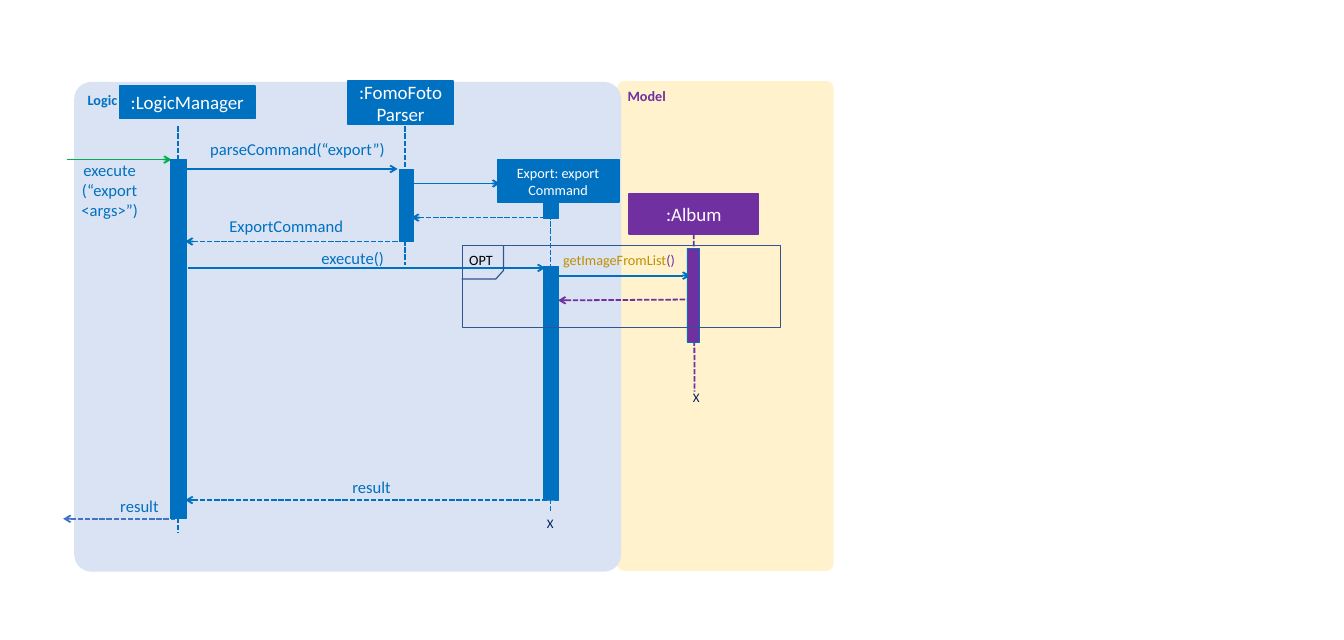
from dataclasses import dataclass

from pptx import Presentation
from pptx.dml.color import RGBColor
from pptx.enum.dml import MSO_LINE
from pptx.enum.shapes import MSO_CONNECTOR, MSO_SHAPE
from pptx.enum.text import MSO_ANCHOR, MSO_AUTO_SIZE, PP_ALIGN
from pptx.oxml.ns import qn
from pptx.shapes.autoshape import Shape
from pptx.shapes.shapetree import SlideShapes
from pptx.text.text import TextFrame
from pptx.util import Inches, Pt
from lxml.etree import SubElement


@dataclass(frozen=True)
class Theme:
    font: str = "Calibri"
    logic: str = "0070C0"
    logic_panel: str = "DAE3F3"
    model: str = "7030A0"
    model_panel: str = "FFF2CC"
    call_in: str = "00B050"
    result_out: str = "4472C4"
    method: str = "BF9000"
    frame: str = "325491"
    end_mark: str = "002060"
    white: str = "FFFFFF"
    black: str = "000000"
    participant_size: float = 16
    message_size: float = 14
    small_size: float = 12
    end_size: float = 11
    stroke: float = 1.5
    frame_stroke: float = 1
    bar_stroke: float = 0.5


THEME = Theme()
Box = tuple[float, float, float, float]
Point = tuple[float, float]


@dataclass(frozen=True)
class Panel:
    title: str
    box: Box
    fill: str
    colour: str


@dataclass(frozen=True)
class Participant:
    name: str
    box: Box
    colour: str = THEME.logic
    size: float = THEME.participant_size


@dataclass(frozen=True)
class Lifeline:
    start: Point
    end: Point
    colour: str = THEME.logic


@dataclass(frozen=True)
class Activation:
    box: Box
    colour: str = THEME.logic


@dataclass(frozen=True)
class Message:
    """A call points at its end; a reply is dashed and points at its start."""
    start: Point
    end: Point
    colour: str = THEME.logic
    reply: bool = False


@dataclass(frozen=True)
class Label:
    text: str
    box: Box
    align: PP_ALIGN = PP_ALIGN.RIGHT
    size: float = THEME.message_size
    colours: tuple[str, ...] = (THEME.logic,)
    inset: bool = False


PANELS = [
    Panel("Model", (7.23, 0.95, 2.54, 5.74), THEME.model_panel, THEME.model),
    Panel("Logic", (0.87, 0.96, 6.41, 5.74), THEME.logic_panel, THEME.logic),
]
PARTICIPANTS = [
    Participant(":LogicManager", (1.4, 1.01, 1.59, 0.38)),
    Participant(":FomoFotoParser", (4.08, 0.95, 1.23, 0.51)),
    Participant("Export: export\vCommand", (5.83, 1.87, 1.42, 0.5), size=THEME.small_size),
    Participant(":Album", (7.37, 2.27, 1.52, 0.47), THEME.model),
]
LIFELINES = [
    Lifeline((2.09, 1.48), (2.09, 6.24)),
    Lifeline((4.75, 1.48), (4.75, 3.11)),
    Lifeline((6.45, 2.26), (6.45, 5.99)),
    Lifeline((8.13, 2.74), (8.14, 4.59), THEME.model),
]
ACTIVATIONS = [
    Activation((2, 1.87, 0.18, 4.21)),
    Activation((4.68, 1.99, 0.17, 0.84)),
    Activation((6.37, 2.26, 0.17, 0.3)),
    Activation((6.37, 3.12, 0.17, 2.74)),
    Activation((8.05, 2.91, 0.14, 1.1), THEME.model),
]
MESSAGES = [
    Message((0.78, 1.87), (2.01, 1.87), THEME.call_in),
    Message((2.19, 1.98), (4.66, 1.98)),
    Message((4.85, 2.15), (5.86, 2.15)),
    Message((4.82, 2.55), (6.45, 2.55), reply=True),
    Message((2.17, 2.83), (4.74, 2.83), reply=True),
    Message((2.2, 3.14), (6.39, 3.14)),
    Message((6.52, 3.23), (8.09, 3.23)),
    Message((6.54, 3.52), (8.11, 3.51), THEME.model, reply=True),
    Message((2.17, 5.86), (6.36, 5.86), reply=True),
    Message((0.74, 6.08), (2.05, 6.08), THEME.result_out, reply=True),
]
END_MARK = dict(align=PP_ALIGN.LEFT, size=THEME.end_size, colours=(THEME.end_mark,), inset=True)
LABELS = [
    Label("execute\n(“export <args>”)", (0.64, 1.87, 1.29, 0.71), PP_ALIGN.CENTER),
    Label("parseCommand(“export”)", (2.24, 1.63, 2.27, 0.24)),
    Label("ExportCommand", (2.61, 2.53, 1.49, 0.24), PP_ALIGN.CENTER),
    Label("execute()", (3.56, 2.91, 0.94, 0.24)),
    Label("getImageFromList|()", (6.35, 2.94, 1.56, 0.2), size=THEME.small_size,
          colours=(THEME.method, THEME.model)),
    Label("result", (3.9, 5.59, 0.68, 0.24)),
    Label("result", (1.03, 5.81, 0.83, 0.24)),
    Label("X", (6.31, 5.99, 0.28, 0.29), **END_MARK),
    Label("X", (8.02, 4.52, 0.28, 0.29), **END_MARK),
    Label("OPT", (5.4, 2.9, 0.84, 0.3), PP_ALIGN.LEFT, THEME.small_size, (THEME.black,), True),
]
OPT_FRAME: Box = (5.42, 2.88, 3.73, 0.96)
OPT_TAB: list[Point] = [(5.41, 3.27), (5.81, 3.27), (5.9, 3.17), (5.9, 2.88)]


def rgb(colour: str) -> RGBColor:
    return RGBColor.from_string(colour)


def format_text(frame: TextFrame, size: float, colours: tuple[str, ...],
                align: PP_ALIGN, bold: bool = False) -> None:
    """Format every run, giving each run of a paragraph its own colour in turn."""
    for paragraph in frame.paragraphs:
        paragraph.alignment = align
        for index, run in enumerate(paragraph.runs):
            run.font.name, run.font.size, run.font.bold = THEME.font, Pt(size), bold
            run.font.color.rgb = rgb(colours[index % len(colours)])


def style_shape(shape: Shape, fill: str | None, line: str | None, width: float = 0) -> None:
    shape.shadow.inherit = False
    if fill:
        shape.fill.solid()
        shape.fill.fore_color.rgb = rgb(fill)
    else:
        shape.fill.background()
    if line:
        shape.line.color.rgb = rgb(line)
        shape.line.width = Pt(width)
    else:
        shape.line.fill.background()


def add_box(shapes: SlideShapes, box: Box, fill: str | None, line: str | None, width: float = 0,
            kind: MSO_SHAPE = MSO_SHAPE.RECTANGLE) -> Shape:
    shape = shapes.add_shape(kind, *map(Inches, box))
    style_shape(shape, fill, line, width)
    return shape


def draw_panel(shapes: SlideShapes, panel: Panel) -> None:
    shape = add_box(shapes, panel.box, panel.fill, None, kind=MSO_SHAPE.ROUNDED_RECTANGLE)
    shape.adjustments[0] = 0.035
    shape.text_frame.text = panel.title
    shape.text_frame.vertical_anchor = MSO_ANCHOR.TOP
    format_text(shape.text_frame, THEME.small_size, (panel.colour,), PP_ALIGN.LEFT, bold=True)


def draw_participant(shapes: SlideShapes, participant: Participant) -> None:
    shape = add_box(shapes, participant.box, participant.colour, participant.colour, THEME.stroke)
    shape.text_frame.text = participant.name
    shape.text_frame.vertical_anchor = MSO_ANCHOR.MIDDLE
    format_text(shape.text_frame, participant.size, (THEME.white,), PP_ALIGN.CENTER)


def draw_line(shapes: SlideShapes, start: Point, end: Point, colour: str,
              dashed: bool, arrow: str | None = None) -> None:
    connector = shapes.add_connector(MSO_CONNECTOR.STRAIGHT, *map(Inches, start + end))
    connector.line.color.rgb = rgb(colour)
    connector.line.width = Pt(THEME.stroke)
    if dashed:
        connector.line.dash_style = MSO_LINE.SQUARE_DOT
    properties = connector._element.spPr
    if arrow:
        SubElement(properties.find(qn("a:ln")), qn(arrow), type="arrow")
    SubElement(properties, qn("a:effectLst"))


def draw_label(shapes: SlideShapes, label: Label) -> None:
    """Write a label; a bar in its text separates differently coloured runs."""
    frame = shapes.add_textbox(*map(Inches, label.box)).text_frame
    frame.word_wrap = True
    frame.auto_size = MSO_AUTO_SIZE.SHAPE_TO_FIT_TEXT
    if not label.inset:
        frame.margin_left = frame.margin_top = frame.margin_right = frame.margin_bottom = 0
    first, *others = label.text.split("|")
    frame.text = first
    for part in others:
        frame.paragraphs[-1].add_run().text = part
    format_text(frame, label.size, label.colours, label.align)


def draw_opt_frame(shapes: SlideShapes) -> None:
    add_box(shapes, OPT_FRAME, None, THEME.frame, THEME.frame_stroke)
    first, *others = [(Inches(x), Inches(y)) for x, y in OPT_TAB]
    builder = shapes.build_freeform(*first)
    builder.add_line_segments(others, close=False)
    style_shape(builder.convert_to_shape(), None, THEME.frame, THEME.frame_stroke)


def main() -> None:
    deck = Presentation()
    deck.slide_width, deck.slide_height = Inches(15.75), Inches(7.5)
    shapes = deck.slides.add_slide(deck.slide_layouts[6]).shapes
    for panel in PANELS:
        draw_panel(shapes, panel)
    for life in LIFELINES:
        draw_line(shapes, life.start, life.end, life.colour, dashed=True)
    for message in MESSAGES:
        draw_line(shapes, message.start, message.end, message.colour, message.reply,
                  "a:headEnd" if message.reply else "a:tailEnd")
    for activation in ACTIVATIONS:
        add_box(shapes, activation.box, activation.colour, THEME.logic, THEME.bar_stroke)
    for participant in PARTICIPANTS:
        draw_participant(shapes, participant)
    draw_opt_frame(shapes)
    for label in LABELS:
        draw_label(shapes, label)
    deck.save("out.pptx")


if __name__ == "__main__":
    main()
